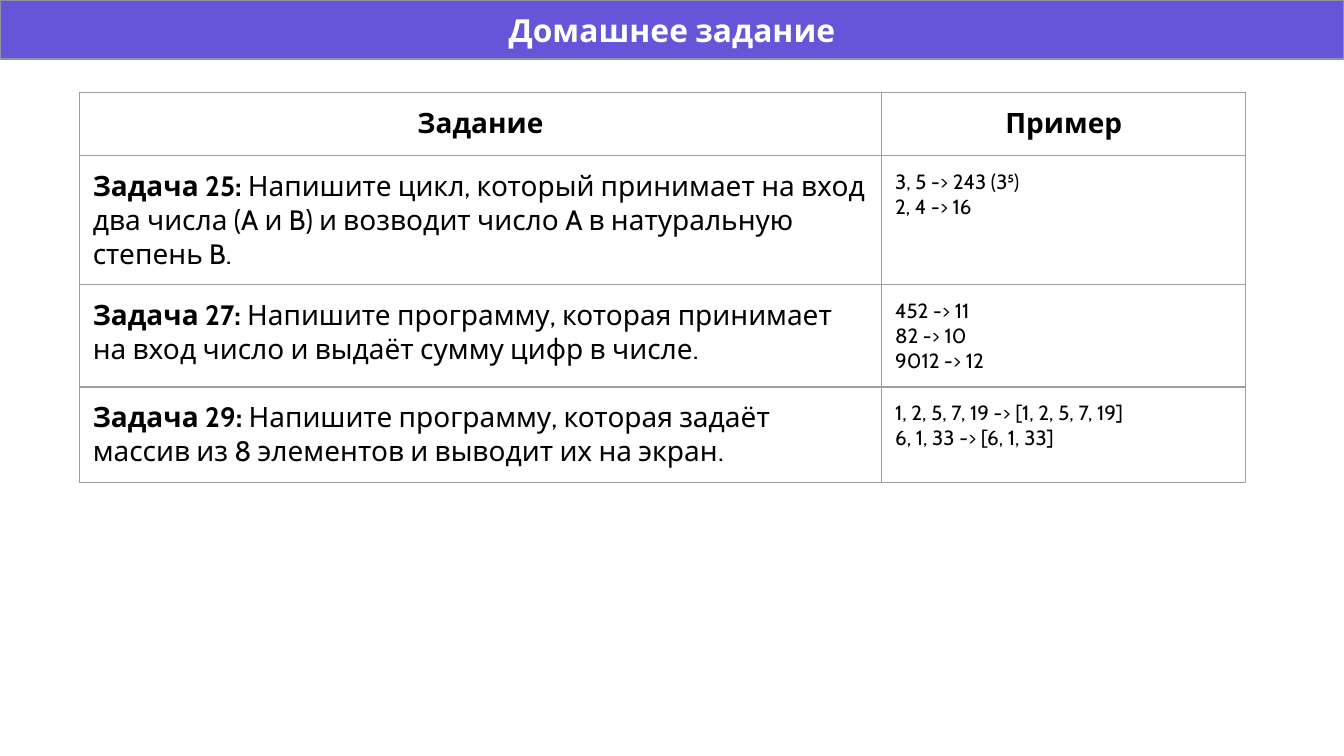
import pptx
import pptx.util
import pptx.oxml
import pptx.dml.color
import pptx.enum.text

Inches, Pt = pptx.util.Inches, pptx.util.Pt
RGBColor = pptx.dml.color.RGBColor
CENTER = pptx.enum.text.PP_ALIGN.CENTER
LEFT = pptx.enum.text.PP_ALIGN.LEFT
MIDDLE = pptx.enum.text.MSO_ANCHOR.MIDDLE

# Content
TITLE = "Домашнее задание"
HEADS = ["Задание", "Пример"]
TASKS = [
    ("Задача 25: ",
     "Напишите цикл, который принимает на вход два числа (A и B) "
     "и возводит число A в натуральную степень B.",
     ["3, 5 -> 243 (3⁵)", "2, 4 -> 16"]),
    ("Задача 27:",
     " Напишите программу, которая принимает на вход число "
     "и выдаёт сумму цифр в числе.",
     ["452 -> 11", "82 -> 10", "9012 -> 12"]),
    ("Задача 29: ",
     "Напишите программу, которая задаёт массив из 8 элементов "
     "и выводит их на экран.",
     ["1, 2, 5, 7, 19 -> [1, 2, 5, 7, 19]", "6, 1, 33 -> [6, 1, 33]"]),
]

# Look
FONT = "Cabin"
VIOLET = RGBColor(0x66, 0x54, 0xD9)
SLATE = RGBColor(0x8F, 0x93, 0xA3)
GRAY = RGBColor(0x9E, 0x9E, 0x9E)
BLACK = RGBColor(0, 0, 0)
WHITE = RGBColor(255, 255, 255)
WIDTH = Inches(10)
HEIGHT = WIDTH * 9 // 16
COLS = [5.97, 2.71]
ROWS = [0.47, 0.96, 0.75, 0.71]
PAD = Inches(0.1)


def style(run, size, bold, color=BLACK):
    run.font.name = FONT
    run.font.size = Pt(size)
    run.font.bold = bold
    run.font.color.rgb = color


def pad(box):
    box.margin_left = box.margin_right = PAD
    box.margin_top = box.margin_bottom = PAD


def write(cell, lines, size, align=LEFT):
    """Fill a cell with lines, each a list of (text, bold) parts."""
    frame = cell.text_frame
    for i, parts in enumerate(lines):
        para = frame.add_paragraph() if i else frame.paragraphs[0]
        para.alignment = align
        for text, bold in parts:
            run = para.add_run()
            run.text = text
            style(run, size, bold)


def border(cell):
    props = cell._tc.get_or_add_tcPr()
    for i, side in enumerate("LRTB"):
        props.insert(i, pptx.oxml.parse_xml(
            f'<a:ln{side} xmlns:a="http://schemas.openxmlformats.org/'
            f'drawingml/2006/main" w="{Pt(0.75)}"><a:solidFill>'
            f'<a:srgbClr val="{GRAY}"/></a:solidFill></a:ln{side}>'))


deck = pptx.Presentation()
deck.slide_width, deck.slide_height = WIDTH, HEIGHT
slide = deck.slides.add_slide(deck.slide_layouts[5])

# Title band
band = slide.shapes.title
band.left = band.top = 0
band.width, band.height = WIDTH, Inches(0.44)
band.fill.solid()
band.fill.fore_color.rgb = VIOLET
band.line.color.rgb = SLATE
band.line.width = Pt(0.75)
frame = band.text_frame
frame.text = TITLE
frame.auto_size = pptx.enum.text.MSO_AUTO_SIZE.NONE
frame.vertical_anchor = MIDDLE
pad(frame)
frame.paragraphs[0].alignment = CENTER
style(frame.paragraphs[0].runs[0], 17, True, WHITE)

# Task table
table = slide.shapes.add_table(
    len(ROWS), len(COLS), Inches(0.59), Inches(0.69),
    Inches(sum(COLS)), Inches(sum(ROWS))).table
table.first_row = table.horz_banding = False
for col, width in zip(table.columns, COLS):
    col.width = Inches(width)
for row, height in zip(table.rows, ROWS):
    row.height = Inches(height)
for cell in table.iter_cells():
    pad(cell)
    cell.fill.background()
    border(cell)

for c, head in enumerate(HEADS):
    write(table.cell(0, c), [[(head, True)]], 15, CENTER)
for r, (label, task, lines) in enumerate(TASKS, 1):
    write(table.cell(r, 0), [[(label, True), (task, False)]], 15)
    write(table.cell(r, 1), [[(line, False)] for line in lines], 11)

deck.save("out.pptx")
